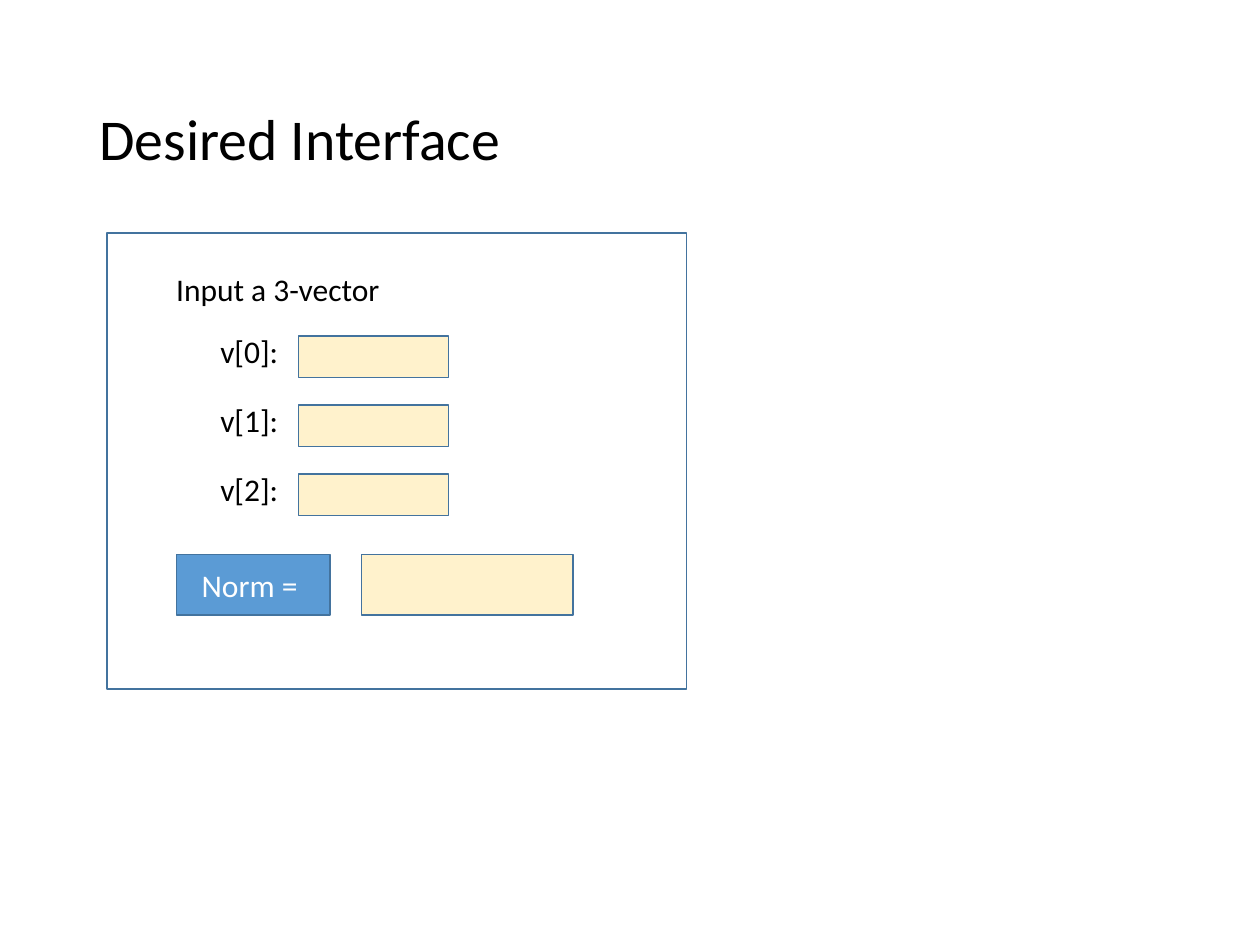
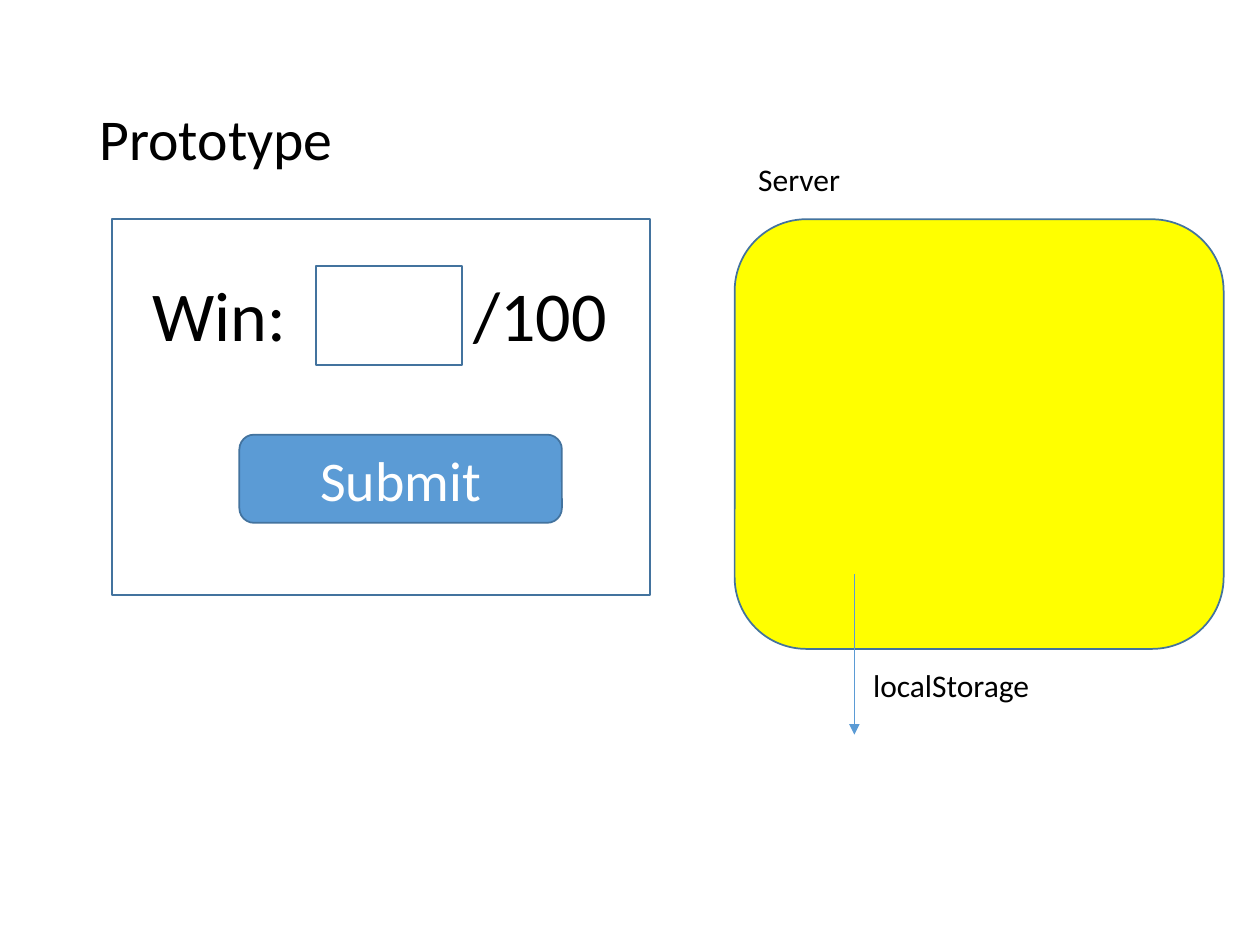
"""Build two slides that sketch a vector form and a client-server prototype."""
from lxml import etree
from pptx import Presentation
from pptx.dml.color import RGBColor
from pptx.enum.shapes import MSO_CONNECTOR, MSO_SHAPE
from pptx.enum.text import MSO_ANCHOR, MSO_AUTO_SIZE, PP_ALIGN
from pptx.oxml.ns import qn
from pptx.util import Pt

RECTANGLE, ROUNDED = MSO_SHAPE.RECTANGLE, MSO_SHAPE.ROUNDED_RECTANGLE
STRAIGHT = MSO_CONNECTOR.STRAIGHT
TOP, MIDDLE = MSO_ANCHOR.TOP, MSO_ANCHOR.MIDDLE
LEFT, CENTER = PP_ALIGN.LEFT, PP_ALIGN.CENTER
GROW, FIXED = MSO_AUTO_SIZE.SHAPE_TO_FIT_TEXT, MSO_AUTO_SIZE.NONE

BLACK = RGBColor(0x00, 0x00, 0x00)
WHITE = RGBColor(0xFF, 0xFF, 0xFF)
BLUE = RGBColor(0x5B, 0x9B, 0xD5)
OUTLINE = RGBColor(0x43, 0x73, 0x9E)
CREAM = RGBColor(0xFF, 0xF2, 0xCC)
YELLOW = RGBColor(0xFF, 0xFF, 0x00)
FONT = "Calibri"

TITLE_AREA = (49.7, 28.8, 620.6, 104.4)

VECTOR_TITLE = "Desired Interface"
VECTOR_PANEL = (61.2, 133.2, 331.2, 260.6)
VECTOR_PROMPT = ("Input a 3-vector", (93.6, 150.5, 132.5, 28.8))
COMPONENTS = ["v[0]:", "v[1]:", "v[2]:"]
ROW_TOP, ROW_PITCH = 186.4, 39.4
LABEL_LEFT, LABEL_WIDTH, LABEL_HEIGHT = 118.8, 51.8, 28.8
FIELD_WIDTH, FIELD_HEIGHT, FIELD_DROP = 85.7, 23.8, 5.6
NORM_BUTTON = ("Norm = ", (100.8, 316.8, 87.8, 34.6))
NORM_RESULT = (206.6, 316.8, 121, 34.6)

PROTOTYPE_TITLE = "Prototype"
CLIENT_PANEL = (64.1, 125.3, 307.4, 214.6)
SCORE_FIELD = (180.7, 151.9, 83.5, 56.9)
SUBMIT_BUTTON = ("Submit", (136.8, 248.4, 184.3, 50.4))
SERVER = (419.8, 125.3, 279.4, 245.5)
STORAGE_ARROW = (488.2, 328.3, 488.2, 419.8)
PROTOTYPE_LABELS = [
    ("/100", (263.5, 151.9, 91.4, 55.4), 40),
    ("Win:", (79.9, 151.9, 100.8, 55.4), 40),
    ("Server", (426.2, 87.8, 61.9, 28.8), 18),
    ("localStorage", (491.8, 377.3, 104.4, 28.8), 18),
]


def points(values):
    return [Pt(value) for value in values]


def write(box, text, size=18, color=BLACK, align=LEFT, anchor=TOP,
          wrap=True, fit=FIXED, spacing=1.0):
    frame = box.text_frame
    frame.word_wrap = wrap
    frame.auto_size = fit
    frame.vertical_anchor = anchor
    para = frame.paragraphs[0]
    para.alignment = align
    para.line_spacing = spacing
    span = para.add_run()
    span.text = text
    span.font.name = FONT
    span.font.size = Pt(size)
    span.font.color.rgb = color


def add_label(page, text, area, size=18):
    box = page.shapes.add_textbox(*points(area))
    write(box, text, size=size, wrap=False, fit=GROW)


def add_box(page, area, fill=WHITE, kind=RECTANGLE):
    box = page.shapes.add_shape(kind, *points(area))
    box.shadow.inherit = False
    box.fill.solid()
    box.fill.fore_color.rgb = fill
    box.line.color.rgb = OUTLINE
    box.line.width = Pt(1)
    return box


def add_button(page, text, area, size=18, kind=RECTANGLE):
    button = add_box(page, area, BLUE, kind)
    write(button, text, size=size, color=WHITE, align=CENTER, anchor=MIDDLE)


def add_arrow(page, ends):
    arrow = page.shapes.add_connector(STRAIGHT, *points(ends))
    arrow.line.color.rgb = BLUE
    arrow.line.width = Pt(0.5)
    etree.SubElement(arrow.line._get_or_add_ln(), qn("a:tailEnd"), type="triangle")
    etree.SubElement(arrow._element.spPr, qn("a:effectLst"))


def add_page(deck, title):
    page = deck.slides.add_slide(deck.slide_layouts[6])
    box = page.shapes.add_textbox(*points(TITLE_AREA))
    write(box, title, size=33, anchor=MIDDLE, spacing=0.9)
    return page


def build_vector_page(deck):
    page = add_page(deck, VECTOR_TITLE)
    add_box(page, VECTOR_PANEL)
    add_label(page, *VECTOR_PROMPT)
    for row, component in enumerate(COMPONENTS):
        top = ROW_TOP + row * ROW_PITCH
        add_label(page, component, (LABEL_LEFT, top, LABEL_WIDTH, LABEL_HEIGHT))
        add_box(page, (LABEL_LEFT + LABEL_WIDTH, top + FIELD_DROP,
                       FIELD_WIDTH, FIELD_HEIGHT), CREAM)
    add_button(page, *NORM_BUTTON)
    add_box(page, NORM_RESULT, CREAM)


def build_prototype_page(deck):
    page = add_page(deck, PROTOTYPE_TITLE)
    add_box(page, CLIENT_PANEL)
    add_box(page, SCORE_FIELD)
    add_button(page, *SUBMIT_BUTTON, size=32, kind=ROUNDED)
    add_box(page, SERVER, YELLOW, ROUNDED)
    add_arrow(page, STORAGE_ARROW)
    for text, area, size in PROTOTYPE_LABELS:
        add_label(page, text, area, size)


def main():
    deck = Presentation()
    deck.slide_width, deck.slide_height = Pt(720), Pt(540)
    build_vector_page(deck)
    build_prototype_page(deck)
    deck.save("out.pptx")


if __name__ == "__main__":
    main()
